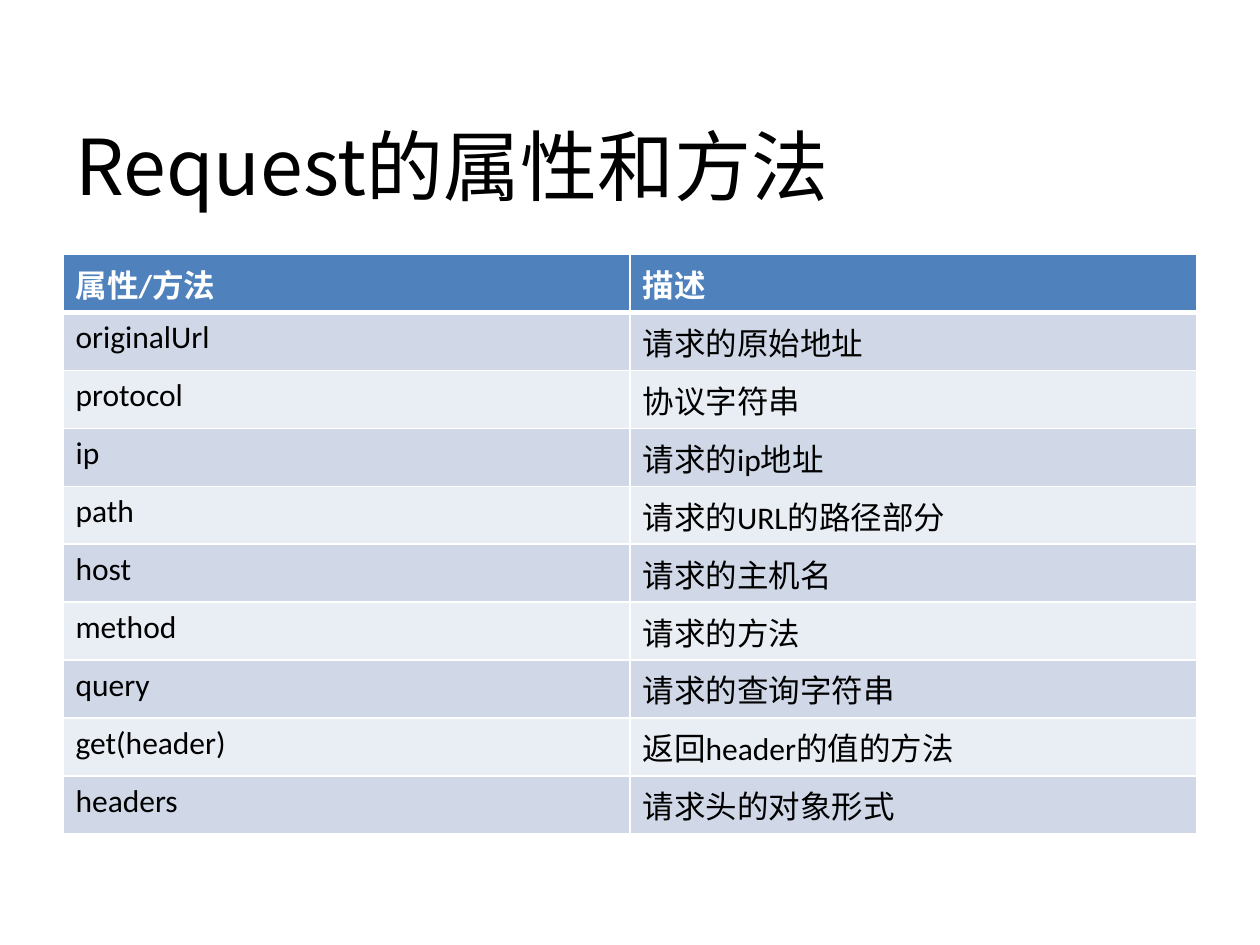
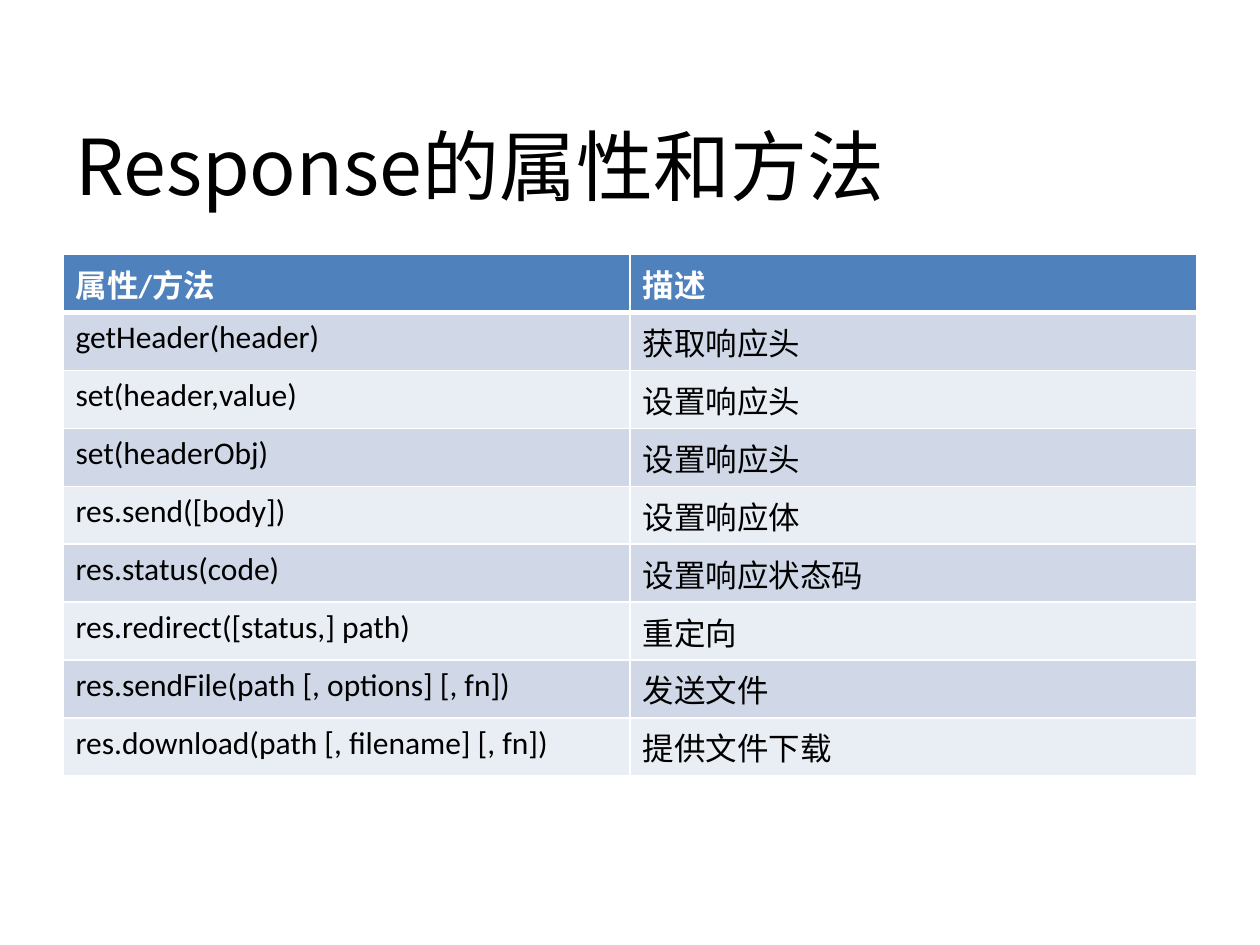
from dataclasses import dataclass

from lxml.etree import SubElement
from pptx import Presentation
from pptx.dml.color import RGBColor as RGB
from pptx.enum.text import MSO_ANCHOR as Anchor
from pptx.oxml.ns import qn
from pptx.util import Inches, Pt


@dataclass(frozen=True)
class Theme:
    header: str = "4F81BD"
    bands: tuple = ("D0D8E8", "E9EDF4")
    light: str = "FFFFFF"
    dark: str = "000000"
    title_font: str = "Noto Sans CJK SC"
    body_font: str = "Calibri"
    asian_font: str = "Noto Sans CJK SC"
    title_size: int = 44
    body_size: int = 18


# Shared look and layout, in inches
T = Theme()
WIDTH, HEIGHT = 10, 7.5
MARGIN = WIDTH * 0.05
CONTENT = WIDTH - 2 * MARGIN
TITLE_TOP, TITLE_HEIGHT = 0.68, 1.25
TABLE_TOP, ROW_HEIGHT = 2.02, 0.46

HEADINGS = ("属性/方法", "描述")
REQUEST = [
    ("originalUrl", "请求的原始地址"),
    ("protocol", "协议字符串"),
    ("ip", "请求的ip地址"),
    ("path", "请求的URL的路径部分"),
    ("host", "请求的主机名"),
    ("method", "请求的方法"),
    ("query", "请求的查询字符串"),
    ("get(header)", "返回header的值的方法"),
    ("headers", "请求头的对象形式"),
]
RESPONSE = [
    ("getHeader(header)", "获取响应头"),
    ("set(header,value)", "设置响应头"),
    ("set(headerObj)", "设置响应头"),
    ("res.send([body])", "设置响应体"),
    ("res.status(code)", "设置响应状态码"),
    ("res.redirect([status,] path)", "重定向"),
    ("res.sendFile(path [, options] [, fn])", "发送文件"),
    ("res.download(path [, filename] [, fn])", "提供文件下载"),
]


def write(tf, text, *, size=T.body_size, font=T.body_font, color=T.dark, bold=False):
    """Put one formatted run into a text frame."""
    r = tf.paragraphs[0].add_run()
    r.text = text
    r.font.size, r.font.name, r.font.bold = Pt(size), font, bold
    r.font.color.rgb = RGB.from_string(color)
    SubElement(r.font._element, qn("a:ea"), typeface=T.asian_font)


def add_title(s, text):
    box = s.shapes.add_textbox(Inches(MARGIN), Inches(TITLE_TOP),
                               Inches(CONTENT), Inches(TITLE_HEIGHT))
    tf = box.text_frame
    tf.word_wrap = True
    tf.vertical_anchor = Anchor.MIDDLE
    write(tf, text, size=T.title_size, font=T.title_font)


def set_borders(cell, **widths):
    """Draw cell borders; widths are points for L, R, T and B."""
    tcPr = cell._tc.get_or_add_tcPr()
    for side, width in widths.items():
        ln = SubElement(tcPr, qn(f"a:ln{side}"), w=str(Pt(width)))
        fill = SubElement(ln, qn("a:solidFill"))
        SubElement(fill, qn("a:srgbClr"), val=T.light)


def add_table(s, rows):
    rows = [HEADINGS, *rows]
    cols = len(HEADINGS)
    table = s.shapes.add_table(len(rows), cols, Inches(MARGIN), Inches(TABLE_TOP),
                               Inches(CONTENT), Inches(ROW_HEIGHT * len(rows))).table
    for col in table.columns:
        col.width = Inches(CONTENT / cols)
    for i, row in enumerate(rows):
        head = i == 0
        table.rows[i].height = Inches(ROW_HEIGHT)
        for j, text in enumerate(row):
            cell = table.cell(i, j)
            # The rule under the header is heavier than the others
            set_borders(cell, L=1, R=1, T=3 if i == 1 else 1, B=3 if head else 1)
            cell.fill.solid()
            color = T.header if head else T.bands[(i - 1) % 2]
            cell.fill.fore_color.rgb = RGB.from_string(color)
            write(cell.text_frame, text, color=T.light if head else T.dark, bold=head)


def main():
    prs = Presentation()
    prs.slide_width, prs.slide_height = Inches(WIDTH), Inches(HEIGHT)
    for name, rows in (("Request", REQUEST), ("Response", RESPONSE)):
        s = prs.slides.add_slide(prs.slide_layouts[6])
        add_title(s, f"{name}的属性和方法")
        add_table(s, rows)
    prs.save("out.pptx")


main()
